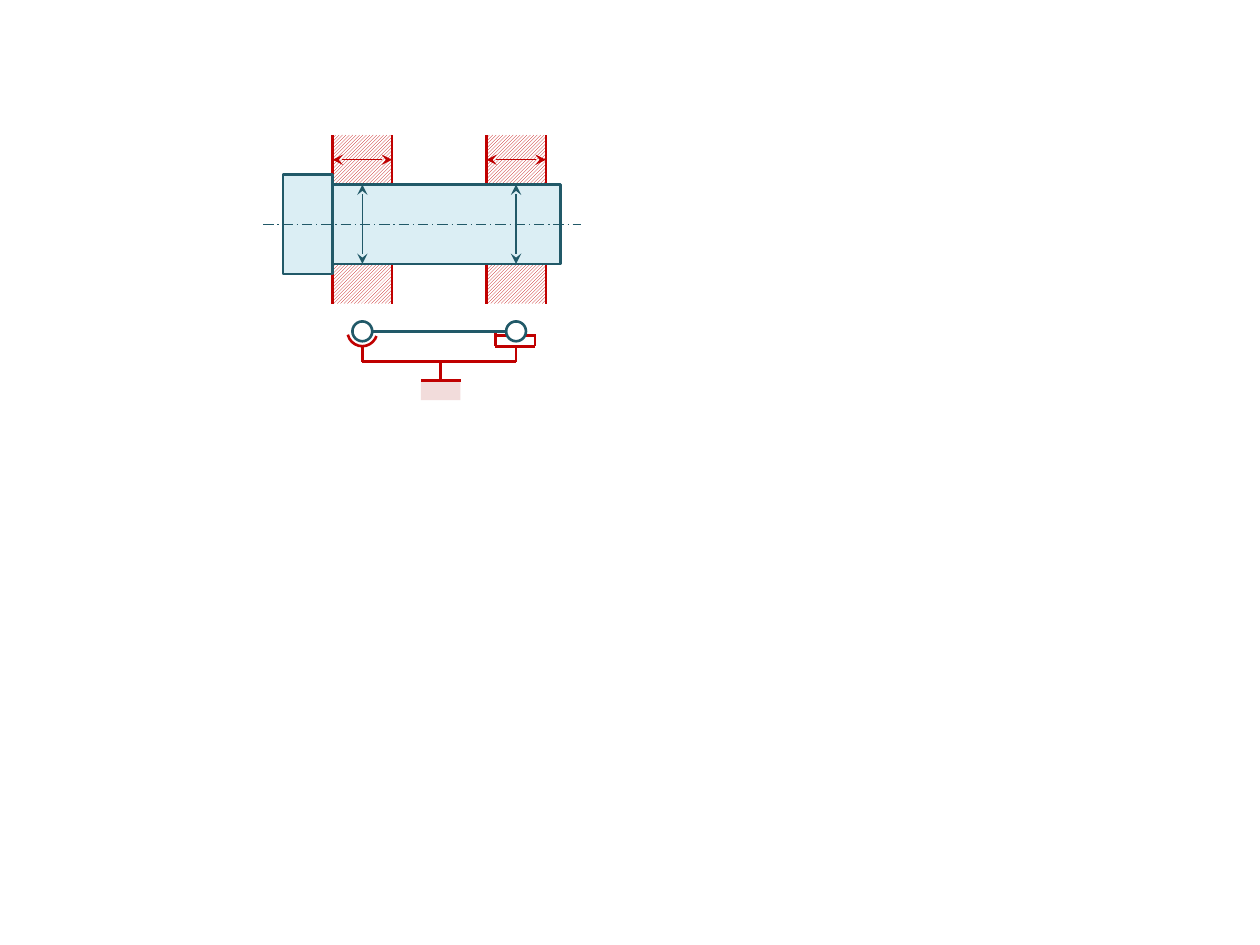
from lxml import etree
from pptx import Presentation
from pptx.dml.color import RGBColor
from pptx.enum.dml import MSO_LINE, MSO_PATTERN
from pptx.enum.shapes import MSO_CONNECTOR, MSO_SHAPE
from pptx.oxml.ns import qn
from pptx.util import Inches, Pt

RED = RGBColor(0xC0, 0x00, 0x00)
PINK = RGBColor(0xF2, 0xDC, 0xDB)
TEAL = RGBColor(0x21, 0x59, 0x68)
PALE = RGBColor(0xDB, 0xEE, 0xF4)
WHITE = RGBColor(0xFF, 0xFF, 0xFF)
RECT, OVAL, ARC = MSO_SHAPE.RECTANGLE, MSO_SHAPE.OVAL, MSO_SHAPE.ARC
STRAIGHT = MSO_CONNECTOR.STRAIGHT
HATCH = MSO_PATTERN.LIGHT_UPWARD_DIAGONAL
DASH_DOT = MSO_LINE.LONG_DASH_DOT

# Grid of 2 mm cells; the origin is the shaft shoulder on the centre line
CELL = 0.0787
LEFT, AXIS = 2.64, 1.78

prs = Presentation()
prs.slide_width, prs.slide_height = Inches(10), Inches(7.5)
s = prs.slides.add_slide(prs.slide_layouts[6])


def add_shape(kind, col, row, cols, rows, fill=None, line=None):
    sp = s.shapes.add_shape(kind, Inches(LEFT + col * CELL), Inches(AXIS + row * CELL),
                            Inches(cols * CELL), Inches(rows * CELL))
    sp.shadow.inherit = False
    if fill is None:
        sp.fill.background()
    else:
        sp.fill.solid()
        sp.fill.fore_color.rgb = fill
    if line is None:
        sp.line.fill.background()
    else:
        sp.line.color.rgb = line
        sp.line.width = Pt(1.5)
    return sp


def add_line(col1, row1, col2, row2, color, width=1.5, arrows=False):
    cn = s.shapes.add_connector(STRAIGHT,
                                Inches(LEFT + col1 * CELL), Inches(AXIS + row1 * CELL),
                                Inches(LEFT + col2 * CELL), Inches(AXIS + row2 * CELL))
    cn.line.color.rgb = color
    cn.line.width = Pt(width)
    if arrows:
        for end in ("a:headEnd", "a:tailEnd"):
            etree.SubElement(cn.line._get_or_add_ln(), qn(end), type="stealth")
    etree.SubElement(cn._element.spPr, qn("a:effectLst"))
    return cn


# Hatched bearing seats: (outer row, row at the shaft) above and below
BEARINGS, SEAT = (0, 15.5), 6
for col in BEARINGS:
    for outer, inner in ((-9, -4), (8, 4)):
        seat = add_shape(RECT, col, min(outer, inner), SEAT, abs(outer - inner))
        seat.fill.patterned()
        seat.fill.pattern = HATCH
        seat.fill.fore_color.rgb = RED
        seat.fill.back_color.rgb = WHITE
        for side in (col, col + SEAT):
            add_line(side, outer, side, inner, RED)
        add_line(col, inner, col + SEAT, inner, RED)

# Shaft with head and centre line
add_shape(RECT, -5, -5, 5, 10, PALE, TEAL)
add_shape(RECT, 0, -4, 23, 8, PALE, TEAL)
add_line(-7, 0, 25, 0, TEAL, 0.75).line.dash_style = DASH_DOT

# Equivalent beam and the ground below it
PIN, ROLLER, GROUND = 3, 18.5, 10.9
BEAM, SLOT, BAR, FLOOR = 10.8, 12.3, 13.85, 15.75
add_line(PIN + 1, BEAM, ROLLER - 1, BEAM, TEAL)
add_shape(RECT, GROUND - 2, FLOOR, 4, 2, PINK)
add_line(GROUND, FLOOR, GROUND, BAR, RED)
add_line(GROUND - 2, FLOOR, GROUND + 2, FLOOR, RED)

# Pinned support on the left, sliding support on the right
socket = add_shape(ARC, PIN - 1.5, BEAM - 1.5, 3, 3, line=RED)
socket.adjustments[0], socket.adjustments[1] = 11.12, 100.12
for row in (BEAM + 0.4, SLOT):
    add_line(ROLLER - 2.1, row, ROLLER + 1.9, row, RED)
for col, top in ((ROLLER - 2.1, BEAM + 0.2), (ROLLER + 1.9, BEAM + 0.3)):
    add_line(col, SLOT, col, top, RED)
for col in (PIN, ROLLER):
    add_shape(OVAL, col - 1, BEAM - 1, 2, 2, WHITE, TEAL)
    add_line(col, SLOT, col, BAR, RED)
add_line(PIN, BAR, ROLLER, BAR, RED)

# Dimension arrows: shaft diameter and seat width at each bearing
for col in BEARINGS:
    middle = col + SEAT / 2
    add_line(middle, -4, middle, 4, TEAL, 0.75, arrows=True)
    add_line(col, -6.5, col + SEAT, -6.5, RED, 0.75, arrows=True)

prs.save("out.pptx")
